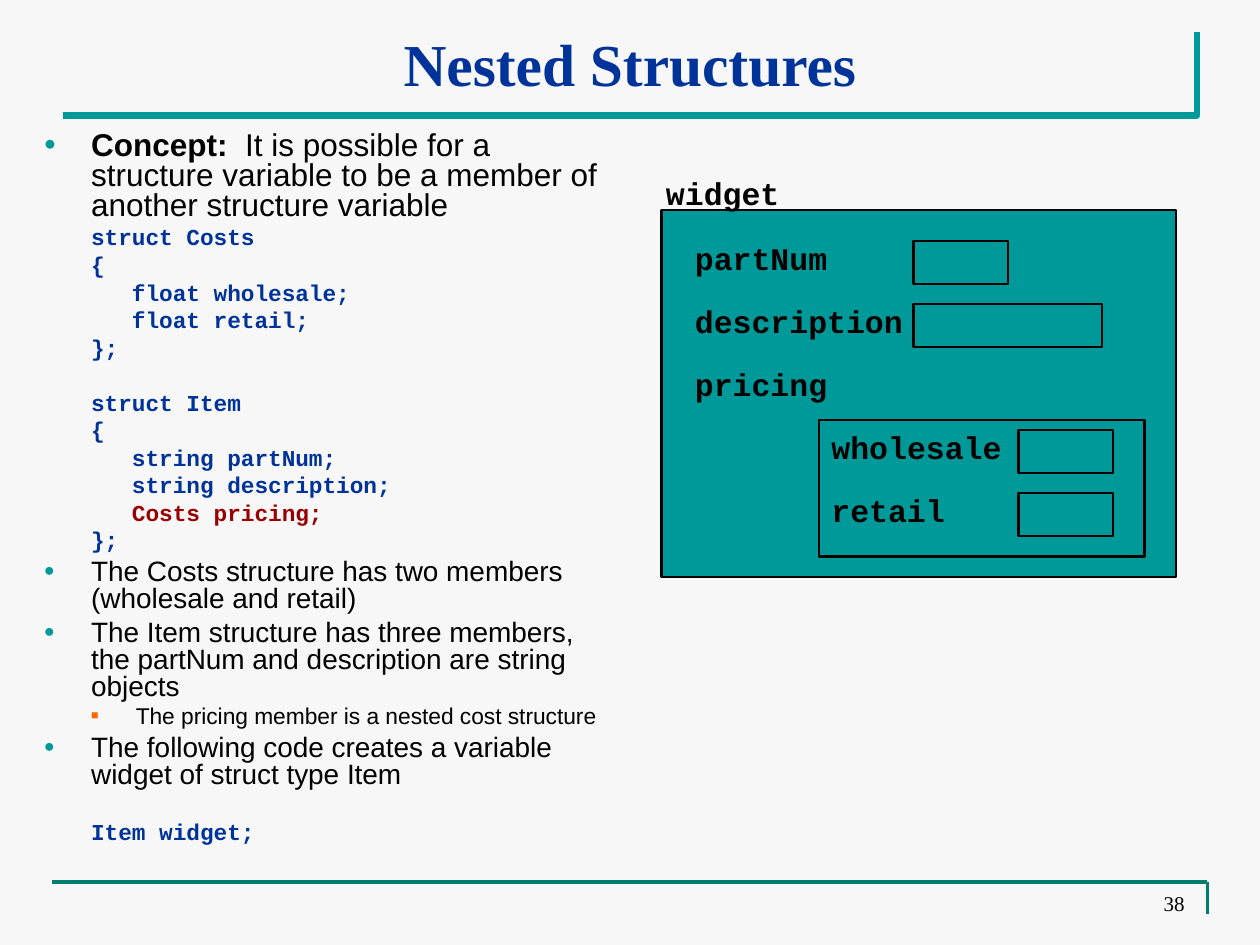
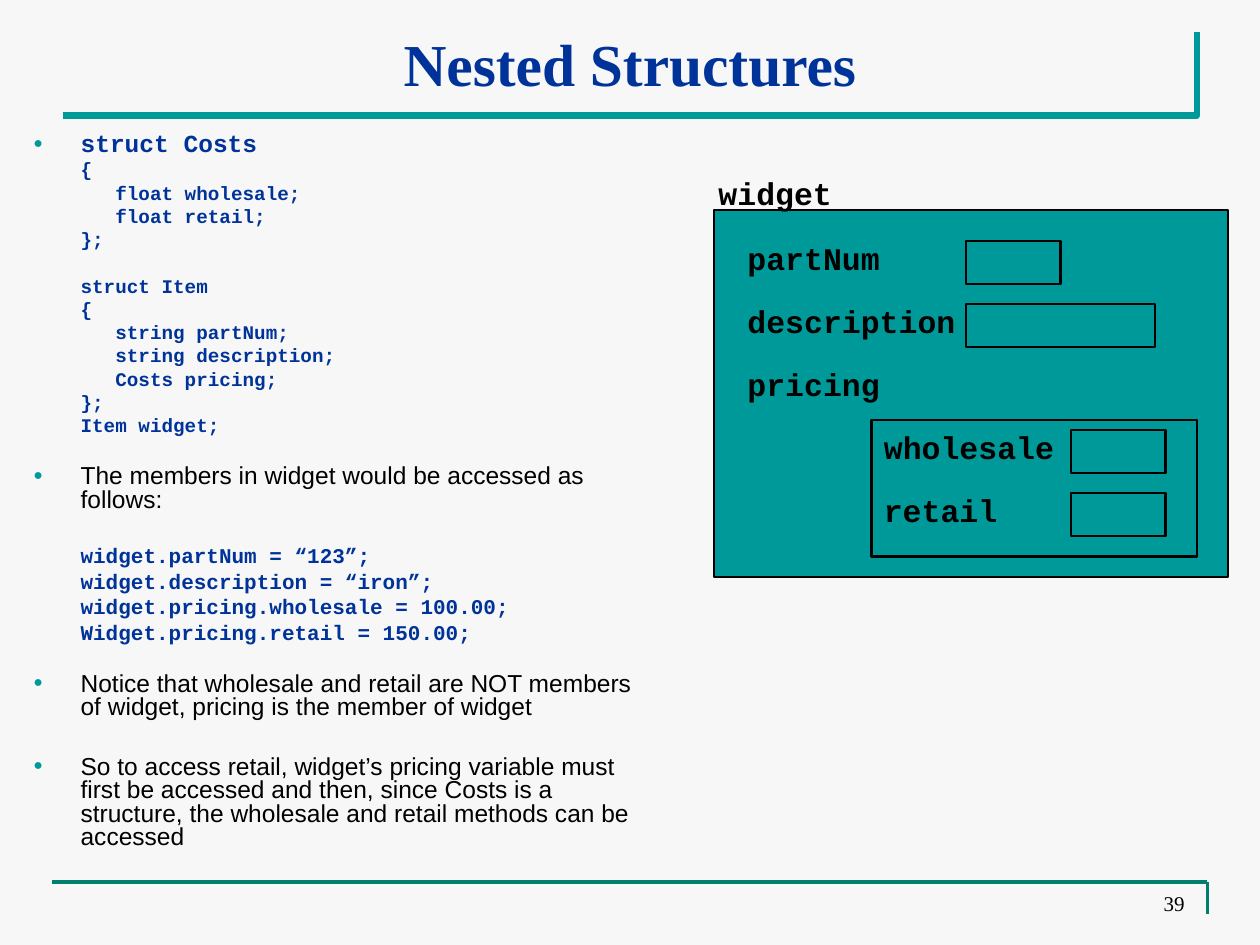
"""Build two slides about nested structures."""
from dataclasses import dataclass

import pptx
import pptx.dml.color
import pptx.enum.shapes
import pptx.enum.text
import pptx.util
from lxml import etree
from pptx.oxml.ns import qn

Pt = pptx.util.Pt
ANCHOR = pptx.enum.text.MSO_ANCHOR
ALIGN = pptx.enum.text.PP_ALIGN


@dataclass(frozen=True)
class Theme:
    background: str = "F7F7F7"
    teal: str = "009999"
    footer_line: str = "027E6F"
    navy: str = "003399"
    red: str = "990000"
    orange: str = "FF6600"
    black: str = "000000"
    serif: str = "Times New Roman"
    sans: str = "Arial"
    mono: str = "Courier New"
    title_size: int = 34
    label_size: int = 18
    number_size: int = 12
    line_height: float = 0.96
    space_before: float = 0.25


THEME = Theme()

STYLES = {
    "point": dict(font=THEME.sans, color=THEME.black, bold=False, margin=27, indent=-27, bullet=("●", THEME.teal, 65)),
    "subpoint": dict(font=THEME.sans, color=THEME.black, bold=False, margin=52.5, indent=-25.5, bullet=("■", THEME.orange, 55)),
    "code": dict(font=THEME.mono, color=THEME.navy, bold=True, margin=52.5, indent=-25.5, bullet=None),
    "code point": dict(font=THEME.mono, color=THEME.navy, bold=True, margin=27, indent=-27, bullet=("●", THEME.teal, 65)),
}
STYLES["red code"] = {**STYLES["code"], "color": THEME.red}

COSTS_MEMBERS = ["{", "   float wholesale;", "   float retail;", "};"]
ITEM_START = ["{", "   string partNum;", "   string description;"]
NESTED_MEMBER = "   Costs pricing;"


def code_lines(size, lines):
    return [("code", size, line, 0) for line in lines]


# Each body entry is (style, size, text or bold lead and rest, size of the blank line above).
SLIDES = [
    dict(
        number="38", body_box=(18, 72, 336, 450), diagram_left=378,
        body=[
            ("point", 18, ("Concept:", "  It is possible for a structure variable to be a member of another structure variable"), 0),
            *code_lines(13, ["struct Costs", *COSTS_MEMBERS]),
            ("code", 13, "struct Item", 13),
            *code_lines(13, ITEM_START),
            ("red code", 13, NESTED_MEMBER, 0),
            ("code", 13, "};", 0),
            ("point", 16, "The Costs structure has two members (wholesale and retail)", 0),
            ("point", 16, "The Item structure has three members, the partNum and description are string objects", 0),
            ("subpoint", 13, "The pricing member is a nested cost structure", 0),
            ("point", 16, "The following code creates a variable widget of struct type Item", 0),
            ("code", 13, "Item widget;", 13),
        ],
    ),
    dict(
        number="39", body_box=(12, 73, 360, 467), diagram_left=408,
        body=[
            ("code point", 14, "struct Costs", 0),
            *code_lines(11, COSTS_MEMBERS),
            ("code", 11, "struct Item", 11),
            *code_lines(11, [*ITEM_START, NESTED_MEMBER, "};", "Item widget;"]),
            ("point", 14, "The members in widget would be accessed as follows:", 11),
            ("code", 12, "widget.partNum = “123”;", 14),
            *code_lines(12, ["widget.description = “iron”;", "widget.pricing.wholesale = 100.00;", "Widget.pricing.retail = 150.00;"]),
            ("point", 14, "Notice that wholesale and retail are NOT members of widget, pricing is the member of widget", 11),
            ("point", 14, "So to access retail, widget’s pricing variable must first be accessed and then, since Costs is a structure, the wholesale and retail methods can be accessed", 14),
        ],
    ),
]
TITLE = "Nested Structures"

# Each member is (name, label left, cell left, cell width).
MEMBERS = [
    ("partNum", 12, 144, 54),
    ("description", 12, 144, 108),
    ("pricing", 12, None, None),
    ("wholesale", 90, 204, 54),
    ("retail", 90, 204, 54),
]
MEMBER_TOP, MEMBER_STEP = 133.2, 36
CELL_DROP, CELL_HEIGHT = 4.6, 24.5


def rgb(color):
    return pptx.dml.color.RGBColor.from_string(color)


def set_font(font, name, size, color, bold=False):
    font.name, font.size, font.bold = name, Pt(size), bold
    font.color.rgb = rgb(color)


def add_text_box(slide, box, wrap=True, anchor=ANCHOR.TOP):
    frame = slide.shapes.add_textbox(*map(Pt, box)).text_frame
    frame.word_wrap = wrap
    frame.vertical_anchor = anchor
    return frame


def add_line_text(slide, box, text, alignment, font, **options):
    frame = add_text_box(slide, box, **options)
    paragraph = frame.paragraphs[0]
    paragraph.text = text
    paragraph.alignment = alignment
    set_font(paragraph.font, *font)
    return frame


def add_bullet(properties, character, color, percent):
    bullet_color = etree.SubElement(properties, qn("a:buClr"))
    etree.SubElement(bullet_color, qn("a:srgbClr"), val=color)
    etree.SubElement(properties, qn("a:buSzPct"), val=str(percent * 1000))
    etree.SubElement(properties, qn("a:buFont"), typeface=THEME.sans)
    etree.SubElement(properties, qn("a:buChar"), char=character)


def add_body(slide, box, entries):
    frame = add_text_box(slide, box)
    for index, (style_name, size, text, blank_size) in enumerate(entries):
        style = STYLES[style_name]
        paragraph = frame.add_paragraph() if index else frame.paragraphs[0]
        properties = paragraph._p.get_or_add_pPr()
        properties.set("marL", str(Pt(style["margin"])))
        properties.set("indent", str(Pt(style["indent"])))
        if style["bullet"]:
            add_bullet(properties, *style["bullet"])
        paragraph.line_spacing = Pt(THEME.line_height * size)
        if index:
            blank_line = blank_size * (THEME.line_height + THEME.space_before)
            paragraph.space_before = Pt(THEME.space_before * size + blank_line)
        set_font(paragraph.font, style["font"], size, style["color"], style["bold"])
        if isinstance(text, tuple):
            for part in text:
                paragraph.add_run().text = part
            paragraph.runs[0].font.bold = True
        else:
            paragraph.add_run().text = text


def add_box(slide, left, top, width, height):
    shape = slide.shapes.add_shape(pptx.enum.shapes.MSO_SHAPE.RECTANGLE, *map(Pt, (left, top, width, height)))
    shape.shadow.inherit = False
    shape.fill.solid()
    shape.fill.fore_color.rgb = rgb(THEME.teal)
    shape.line.color.rgb = rgb(THEME.black)
    shape.line.width = Pt(1.25)


def add_label(slide, left, top, text):
    width = len(text) * THEME.label_size * 0.6 + 14.4
    font = (THEME.mono, THEME.label_size, THEME.black, True)
    frame = add_line_text(slide, (left, top, width, 29), text, ALIGN.LEFT, font, wrap=False)
    frame.auto_size = pptx.enum.text.MSO_AUTO_SIZE.SHAPE_TO_FIT_TEXT


def add_diagram(slide, left):
    add_box(slide, left, 120, 294, 210)
    add_label(slide, left - 4.5, 96, "widget")
    add_box(slide, left + 90, 240, 186, 78)
    for index, (name, label_left, cell_left, cell_width) in enumerate(MEMBERS):
        top = MEMBER_TOP + index * MEMBER_STEP
        add_label(slide, left + label_left, top, name)
        if cell_left:
            add_box(slide, left + cell_left, top + CELL_DROP, cell_width, CELL_HEIGHT)


def add_frame(slide, number):
    slide.background.fill.solid()
    slide.background.fill.fore_color.rgb = rgb(THEME.background)
    builder = slide.shapes.build_freeform(Pt(684), Pt(18))
    builder.add_line_segments([(Pt(684), Pt(66)), (Pt(36), Pt(66))], close=False)
    header = builder.convert_to_shape()
    header.shadow.inherit = False
    header.fill.background()
    header.line.color.rgb = rgb(THEME.teal)
    header.line.width = Pt(3.5)
    for ends in [(30, 504, 690, 504), (690, 504, 690, 522)]:
        line = slide.shapes.add_connector(pptx.enum.shapes.MSO_CONNECTOR.STRAIGHT, *map(Pt, ends))
        line.line.color.rgb = rgb(THEME.footer_line)
        line.line.width = Pt(2.25)
        etree.SubElement(line._element.spPr, qn("a:effectLst"))
    add_line_text(slide, (36, 12, 648, 48), TITLE, ALIGN.CENTER,
                  (THEME.serif, THEME.title_size, THEME.navy, True), anchor=ANCHOR.BOTTOM)
    add_line_text(slide, (516, 510, 168, 17), number, ALIGN.RIGHT,
                  (THEME.serif, THEME.number_size, THEME.black), anchor=ANCHOR.BOTTOM)


def main():
    presentation = pptx.Presentation()
    presentation.slide_width, presentation.slide_height = Pt(720), Pt(540)
    for content in SLIDES:
        slide = presentation.slides.add_slide(presentation.slide_layouts[6])
        add_frame(slide, content["number"])
        add_body(slide, content["body_box"], content["body"])
        add_diagram(slide, content["diagram_left"])
    presentation.save("out.pptx")


if __name__ == "__main__":
    main()
